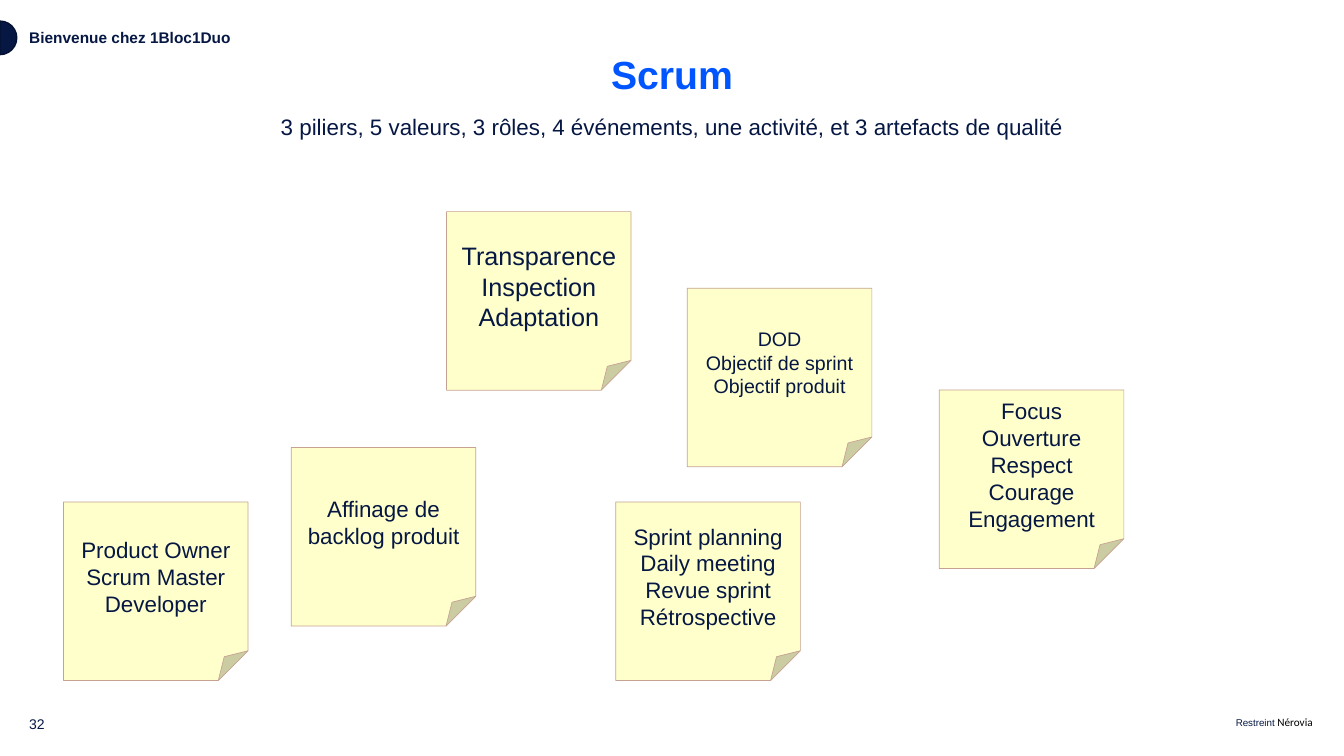
from pptx import Presentation
from pptx.dml.color import RGBColor
from pptx.enum.shapes import MSO_SHAPE
from pptx.enum.text import MSO_ANCHOR, PP_ALIGN
from pptx.util import Pt

CHORD = MSO_SHAPE.CHORD
FOLDED_CORNER = MSO_SHAPE.FOLDED_CORNER
TOP = MSO_ANCHOR.TOP
MIDDLE = MSO_ANCHOR.MIDDLE
LEFT = PP_ALIGN.LEFT
CENTER = PP_ALIGN.CENTER

NAVY = "051742"
BLUE = "0055FF"
NOTE_WIDTH, NOTE_HEIGHT = 131.8, 127.5

# Left, top, text size and lines of each sticky note
NOTES = [
    (319, 151.2, 18, ["Transparence", "Inspection", "Adaptation"]),
    (45.4, 358.6, 16, ["Product Owner", "Scrum Master", "Developer"]),
    (208.1, 319.7, 16, ["Affinage de backlog produit"]),
    (491, 205.9, 14, ["DOD", "Objectif de sprint", "Objectif produit"]),
    (439.9, 358.6, 16,
     ["Sprint planning", "Daily meeting", "Revue sprint", "Rétrospective"]),
    (671, 278.6, 16,
     ["Focus", "Ouverture", "Respect", "Courage", "Engagement"]),
]


def color(value):
    return RGBColor.from_string(value)


def style_font(font, size, hex_color=NAVY, name="Arial", bold=False):
    font.name = name
    font.size = Pt(size)
    font.bold = bold
    font.color.rgb = color(hex_color)


def fill_shape(shape, fill, line, line_width):
    shape.shadow.inherit = False
    shape.fill.solid()
    shape.fill.fore_color.rgb = color(fill)
    shape.line.color.rgb = color(line)
    shape.line.width = Pt(line_width)


def add_text(page, box, text, size, hex_color=NAVY, bold=False,
             align=LEFT, anchor=TOP, insets=(2.9, 0)):
    frame = page.shapes.add_textbox(*map(Pt, box)).text_frame
    frame.word_wrap = True
    frame.vertical_anchor = anchor
    frame.margin_left = frame.margin_right = Pt(insets[0])
    frame.margin_top = frame.margin_bottom = Pt(insets[1])
    para = frame.paragraphs[0]
    para.text = text
    para.alignment = align
    style_font(para.runs[0].font, size, hex_color, bold=bold)
    return para


def add_header(page, left, top, width):
    # Half disc at the slide edge
    disc = page.shapes.add_shape(
        CHORD, Pt(left - 12), Pt(top + 15), Pt(24), Pt(24))
    disc.adjustments[0] = 53.95
    disc.adjustments[1] = 162
    disc.rotation = 180
    fill_shape(disc, NAVY, "041131", 1)

    # Section name, title and subtitle
    add_text(page, (left + 18, top + 20.2, 175.7, 13.7),
             "Bienvenue chez 1Bloc1Duo", 11, bold=True)
    title = add_text(page, (left + 59, top + 39.6, width - 118, 30.2),
                     "Scrum", 28, BLUE, True, CENTER)
    title.line_spacing = 0.9
    add_text(page, (left + 66, top + 77, width - 132, 23.8),
             "3 piliers, 5 valeurs, 3 rôles, 4 événements, une activité, "
             "et 3 artefacts de qualité", 16, align=CENTER, insets=(7.2, 3.6))


def add_note(page, left, top, size, lines):
    note = page.shapes.add_shape(
        FOLDED_CORNER, Pt(left), Pt(top), Pt(NOTE_WIDTH), Pt(NOTE_HEIGHT))
    fill_shape(note, "FFFFCC", "C6A293", 0.5)
    frame = note.text_frame
    frame.word_wrap = True
    frame.vertical_anchor = MIDDLE
    frame.text = "\n".join(lines)
    for para in frame.paragraphs:
        para.alignment = CENTER
        style_font(para.runs[0].font, size)


def add_footer(page, left, top, width):
    # Page number
    add_text(page, (left + 18, top, 23.8, 12.2), "32", 10, anchor=MIDDLE)

    # Confidentiality label
    label = add_text(page, (left + width - 77.3, top, 65, 9.4),
                     "Restreint", 7, insets=(0, 0))
    company = label.add_run()
    company.text = " Nérovia"
    style_font(company.font, 8, "000000", "Calibri")


def main():
    deck = Presentation()
    deck.slide_width, deck.slide_height = Pt(960), Pt(540)
    page = deck.slides.add_slide(deck.slide_layouts[6])
    add_header(page, 0, 0, 960)
    for note in NOTES:
        add_note(page, *note)
    add_footer(page, 0, 511.2, 960)
    deck.save("out.pptx")


if __name__ == "__main__":
    main()
